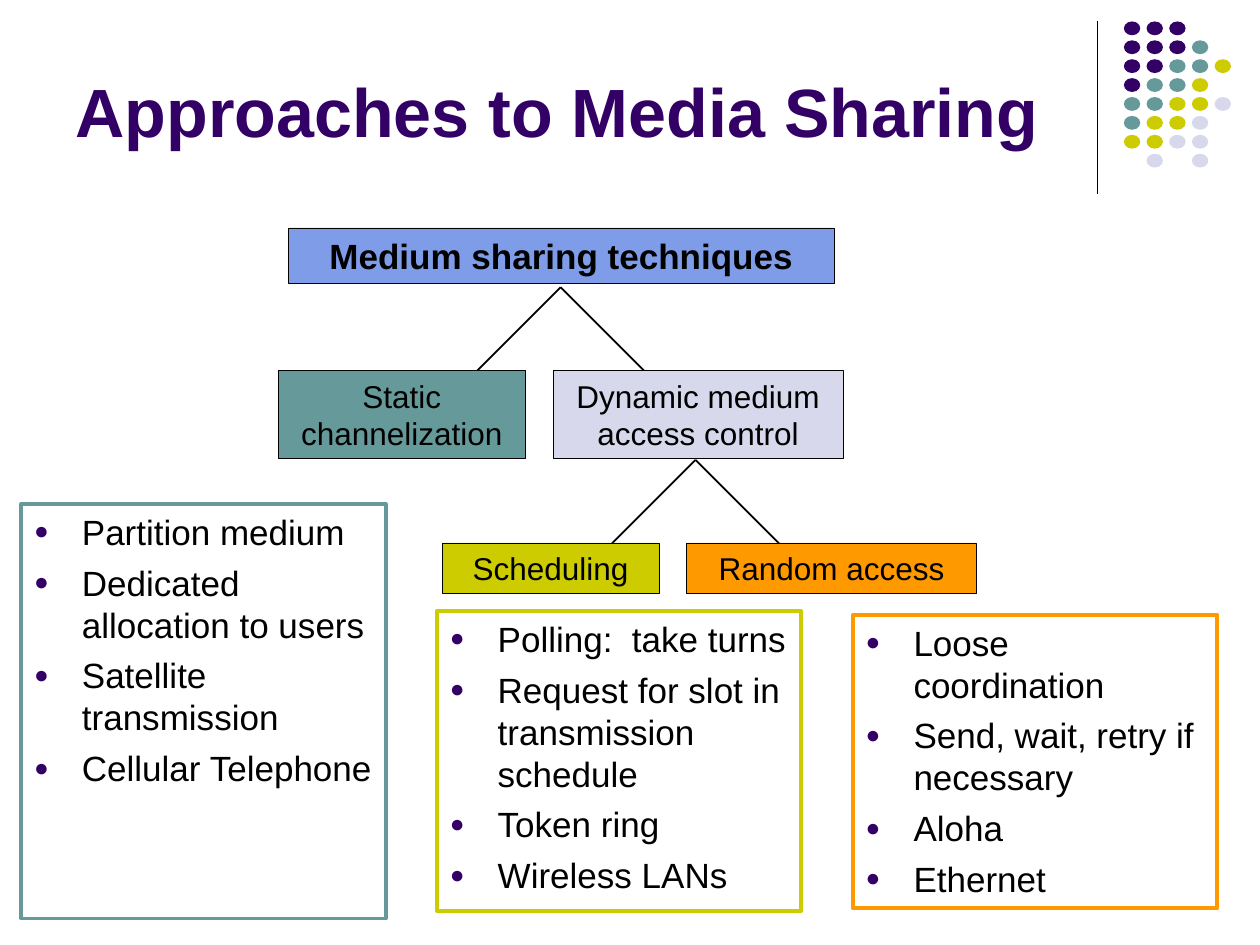
import pptx
import pptx.dml.color
import pptx.enum.shapes
import pptx.enum.text
import pptx.oxml
import pptx.oxml.ns
import pptx.util
from dataclasses import dataclass

Inches = pptx.util.Inches
Pt = pptx.util.Pt
Align = pptx.enum.text.PP_ALIGN
Anchor = pptx.enum.text.MSO_ANCHOR
Shape = pptx.enum.shapes.MSO_SHAPE


@dataclass(frozen=True)
class Theme:
    font: str = "Arial"
    ink: str = "000000"
    purple: str = "330066"
    teal: str = "669999"
    olive: str = "CCCC00"
    lavender: str = "D8D8EC"
    blue: str = "7E9CE8"
    orange: str = "FF9900"
    title_size: float = 39
    large_size: float = 20
    label_size: float = 18
    hairline: float = 0.25
    rule: float = 0.75
    branch: float = 1
    frame: float = 2.25


def rgb(value):
    return pptx.dml.color.RGBColor.from_string(value)


def set_all(target, values):
    for name, value in values.items():
        setattr(target, name, value)


class SlideBuilder:
    def __init__(self, page, theme):
        self.page = page
        self.theme = theme

    def place(self, item, left, top, width, height):
        set_all(item, {"left": Inches(left), "top": Inches(top),
                       "width": Inches(width), "height": Inches(height)})

    def add_text(self, para, text, size, color, bold=False):
        span = para.add_run()
        span.text = text
        set_all(span.font, {"name": self.theme.font, "size": Pt(size), "bold": bold})
        span.font.color.rgb = rgb(color)

    def outline(self, item, color, width):
        item.line.color.rgb = rgb(color)
        item.line.width = Pt(width)

    def set_frame(self, frame, anchor):
        set_all(frame, {"word_wrap": True, "vertical_anchor": anchor,
                        "auto_size": pptx.enum.text.MSO_AUTO_SIZE.NONE,
                        "margin_left": Inches(0.1), "margin_right": Inches(0.1),
                        "margin_top": Inches(0.05), "margin_bottom": Inches(0.05)})

    def title(self, text, *area):
        box = self.page.shapes.title
        self.place(box, *area)
        self.set_frame(box.text_frame, Anchor.BOTTOM)
        para = box.text_frame.paragraphs[0]
        para.alignment = Align.LEFT
        self.add_text(para, text, self.theme.title_size, self.theme.purple, bold=True)

    def shape(self, kind, fill, *area):
        item = self.page.shapes.add_shape(kind, *(Inches(length) for length in area))
        item.shadow.inherit = False
        item.fill.solid()
        item.fill.fore_color.rgb = rgb(fill)
        item.line.fill.background()
        return item

    def label(self, text, fill, area, size, bold=False):
        box = self.shape(Shape.RECTANGLE, fill, *area)
        self.outline(box, self.theme.ink, self.theme.hairline)
        self.set_frame(box.text_frame, Anchor.TOP)
        para = box.text_frame.paragraphs[0]
        para.alignment = Align.CENTER
        self.add_text(para, text, size, self.theme.ink, bold)

    def line(self, start, end, width):
        item = self.page.shapes.add_connector(
            pptx.enum.shapes.MSO_CONNECTOR.STRAIGHT,
            *(Inches(length) for length in (*start, *end)))
        self.outline(item, self.theme.ink, width)
        properties = item._element.spPr
        properties.append(properties.makeelement(pptx.oxml.ns.qn("a:effectLst"), {}))

    def fork(self, x, y, reach=0.67):
        """Draw two diagonal branches going down from one point."""
        for side in (-reach, reach):
            self.line((x, y), (x + side, y + reach), self.theme.branch)

    def add_bullet(self, para):
        properties = para._p.get_or_add_pPr()
        indent = Inches(0.38)
        properties.set("marL", str(indent))
        properties.set("indent", str(-indent))
        namespace = pptx.oxml.ns.nsdecls("a")
        for part in (
            f'<a:buClr {namespace}><a:srgbClr val="{self.theme.purple}"/></a:buClr>',
            f'<a:buSzPct {namespace} val="70000"/>',
            f'<a:buFont {namespace} typeface="{self.theme.font}"/>',
            f'<a:buChar {namespace} char="●"/>',
        ):
            properties.append(pptx.oxml.parse_xml(part))

    def bullet_list(self, index, color, area, items):
        box = self.page.placeholders[index]
        self.place(box, *area)
        self.outline(box, color, self.theme.frame)
        frame = box.text_frame
        self.set_frame(frame, Anchor.TOP)
        for number, text in enumerate(items):
            para = frame.add_paragraph() if number else frame.paragraphs[0]
            set_all(para, {"alignment": Align.LEFT, "space_before": Pt(5)})
            self.add_bullet(para)
            self.add_text(para, text, self.theme.large_size, self.theme.ink)

    def dot_grid(self, rows, colors):
        """Draw one dot per letter; a space leaves its cell empty."""
        for row, letters in enumerate(rows):
            for column, letter in enumerate(letters):
                if letter in colors:
                    self.shape(Shape.OVAL, colors[letter], 8.92 + 0.18 * column,
                               0.17 + 0.15 * row, 0.13, 0.11)

    def remove_empty_placeholders(self):
        for box in list(self.page.placeholders):
            if not box.text_frame.text:
                box._element.getparent().remove(box._element)


def main():
    theme = Theme()
    deck = pptx.Presentation()
    set_all(deck, {"slide_width": Inches(10), "slide_height": Inches(7.5)})
    comparison_layout = deck.slide_layouts[4]
    builder = SlideBuilder(deck.slides.add_slide(comparison_layout), theme)

    builder.line((8.71, 0.17), (8.71, 1.54), theme.rule)
    builder.dot_grid(
        ["PPP", "PPPT", "PPTTO", "PTTO", "TTOOL", "TOOL", "OOLL", " L L"],
        {"P": theme.purple, "T": theme.teal, "O": theme.olive, "L": theme.lavender})
    builder.title("Approaches to Media Sharing", 0.5, 0.13, 8.25, 1.12)

    builder.fork(4.45, 2.28)
    builder.fork(5.52, 3.65)
    builder.label("Medium sharing techniques", theme.blue, (2.29, 1.81, 4.33, 0.44),
                  theme.large_size, bold=True)
    for text, fill, area in (
        ("Static channelization", theme.teal, (2.21, 2.94, 1.96, 0.7)),
        ("Dynamic medium access control", theme.lavender, (4.39, 2.94, 2.3, 0.7)),
        ("Scheduling", theme.olive, (3.51, 4.31, 1.72, 0.4)),
        ("Random access", theme.orange, (5.45, 4.31, 2.3, 0.4)),
    ):
        builder.label(text, fill, area, theme.label_size)

    builder.bullet_list(1, theme.teal, (0.17, 4, 2.89, 3.29), [
        "Partition medium", "Dedicated allocation to users",
        "Satellite transmission", "Cellular Telephone"])
    builder.bullet_list(2, theme.olive, (3.47, 4.85, 2.89, 2.38), [
        "Polling:  take turns", "Request for slot in transmission schedule",
        "Token ring", "Wireless LANs"])
    builder.bullet_list(3, theme.orange, (6.77, 4.88, 2.89, 2.33), [
        "Loose coordination", "Send, wait, retry if necessary",
        "Aloha", "Ethernet"])
    builder.remove_empty_placeholders()
    deck.save("out.pptx")


if __name__ == "__main__":
    main()
